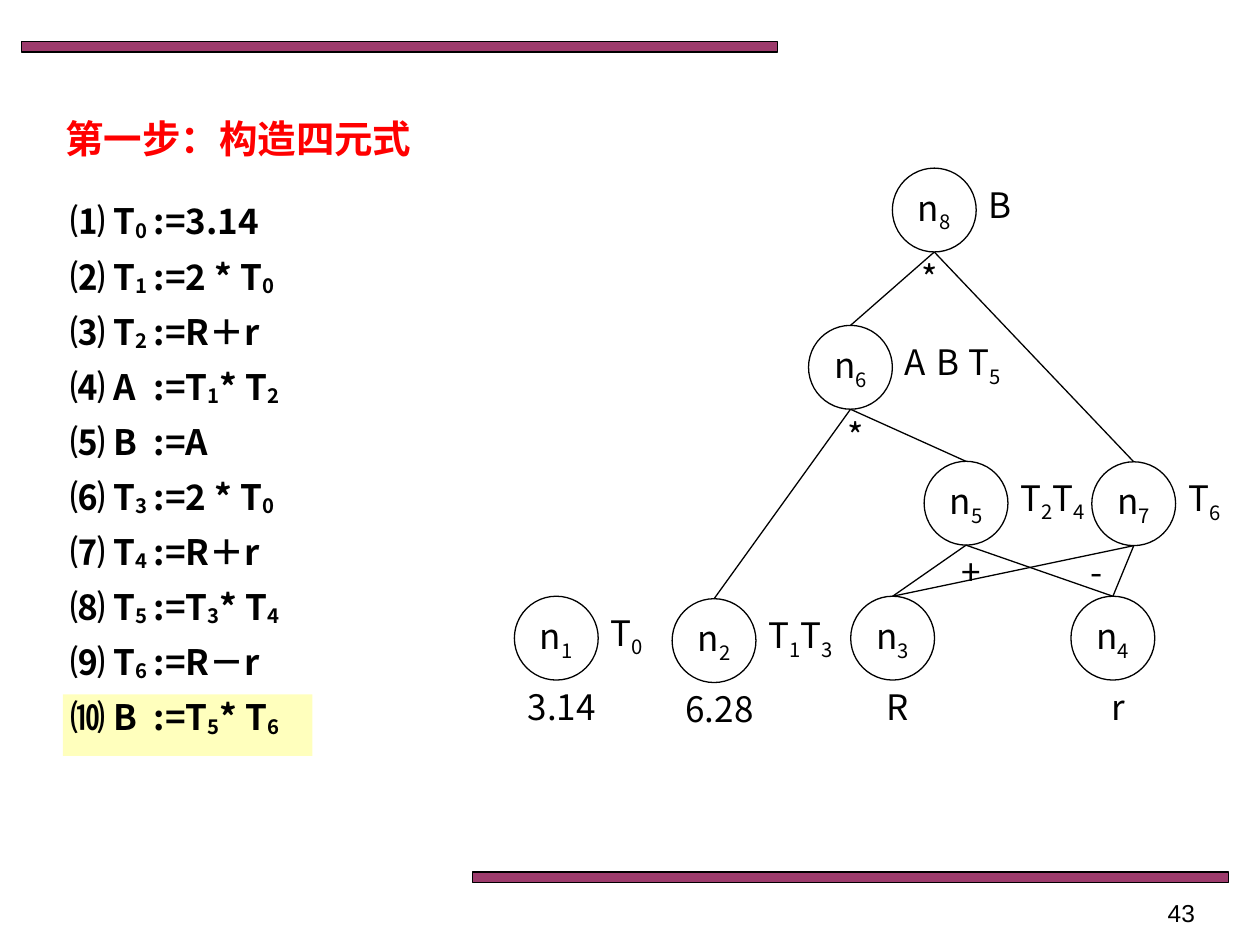
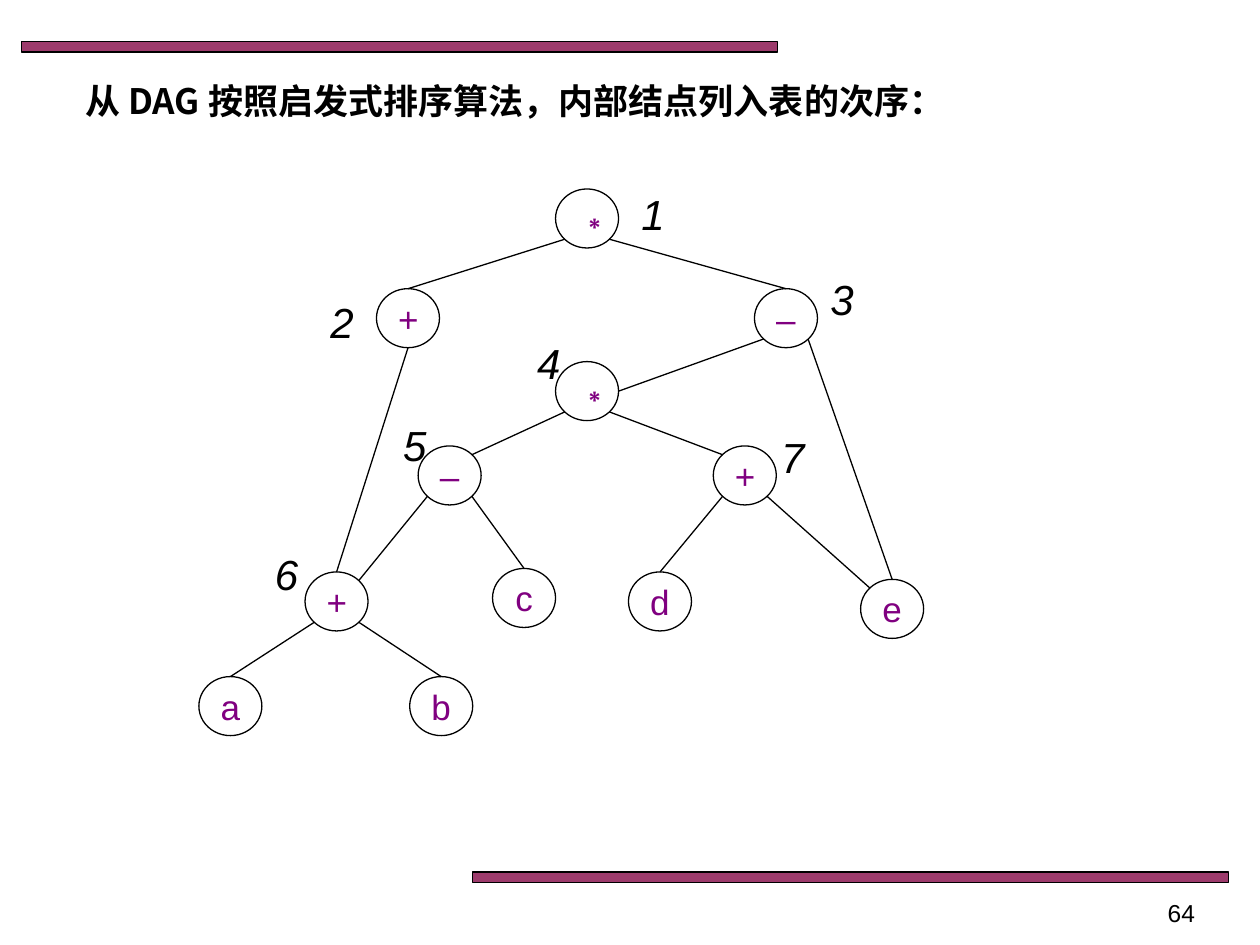
from dataclasses import dataclass
from enum import Enum

from lxml import etree
from pptx import Presentation
from pptx import util as u
from pptx.dml.color import RGBColor
from pptx.enum import shapes, text
from pptx.oxml.ns import qn

BLACK = RGBColor(0x00, 0x00, 0x00)
RED = RGBColor(0xFF, 0x00, 0x00)
PLUM = RGBColor(0x99, 0x33, 0x66)
YELLOW = RGBColor(0xFF, 0xFF, 0x00)
PURPLE = RGBColor(0x80, 0x00, 0x80)
CJK_FONT = "Noto Sans CJK SC"
LATIN_FONT = "Arial"
LINE_WIDTH = u.Pt(0.75)
LEFT, CENTER, RIGHT = text.PP_ALIGN.LEFT, text.PP_ALIGN.CENTER, text.PP_ALIGN.RIGHT


@dataclass(frozen=True)
class Style:
    font: str = CJK_FONT
    size: int = 20
    color: RGBColor = BLACK
    bold: bool = False
    italic: bool = False
    align: text.PP_ALIGN = LEFT
    subscript: int = -25


@dataclass(frozen=True)
class Box:
    left: float
    top: float
    width: float
    height: float

    def lengths(self) -> tuple:
        return u.Cm(self.left), u.Cm(self.top), u.Cm(self.width), u.Cm(self.height)


class Site(Enum):
    TOP = (0, -0.5)
    TOP_LEFT = (-0.35, -0.35)
    TOP_RIGHT = (0.35, -0.35)
    BOTTOM = (0, 0.5)
    BOTTOM_LEFT = (-0.35, 0.35)
    BOTTOM_RIGHT = (0.35, 0.35)
    RIGHT = (0.5, 0)

    def on(self, box: Box) -> tuple:
        across, down = self.value
        return (u.Cm(box.left + box.width * (0.5 + across)),
                u.Cm(box.top + box.height * (0.5 + down)))


@dataclass(frozen=True)
class DagNode:
    left: float
    top: float
    caption: str
    tags: tuple = ()
    caption_shift: float = -0.21

    @property
    def box(self) -> Box:
        return Box(self.left, self.top, NODE_SIZE, NODE_SIZE)


@dataclass(frozen=True)
class OrderNode:
    symbol: str
    left: float
    top: float

    @property
    def box(self) -> Box:
        return Box(self.left, self.top, 1.27, 1.19)


NODE_SIZE = 1.69
TAG_STEP = 0.64
TAB_STOP = 1.68
BANDS = (Box(0.43, 0.84, 15.24, 0.21), Box(9.53, 17.58, 15.24, 0.21))
PAGE_NUMBER_BOX = Box(18.42, 17.98, 5.92, 0.69)

BODY = Style()
BODY_CENTERED = Style(align=CENTER)
QUADRUPLE = Style(bold=True, subscript=-10)
STEP_TITLE = Style(size=22, color=RED, bold=True)
ORDER_TITLE = Style(bold=True)
PAGE_NUMBER = Style(font=LATIN_FONT, size=14, align=RIGHT)
SYMBOL = Style(font=LATIN_FONT, color=PURPLE, align=CENTER)
ORDER_NUMBER = Style(font=LATIN_FONT, size=24, italic=True, align=CENTER)

QUADRUPLES = (
    "⑴ T_0_\t:=3.14",
    "⑵ T_1_\t:=2 * T_0",
    "⑶ T_2_\t:=R＋r",
    "⑷ A\t:=T_1_* T_2",
    "⑸ B\t:=A",
    "⑹ T_3_\t:=2 * T_0",
    "⑺ T_4_\t:=R＋r",
    "⑻ T_5_\t:=T_3_* T_4",
    "⑼ T_6_\t:=R－r",
    "⑽ B\t:=T_5_* T_6",
)

DAG_NODES = {
    1: DagNode(10.37, 12.02, "3.14", ("T_0",)),
    2: DagNode(13.55, 12.07, "6.28", ("T_1", "T_3")),
    3: DagNode(17.15, 12.02, "R"),
    4: DagNode(21.59, 12.02, "r"),
    5: DagNode(18.63, 9.3, "+", ("T_2", "T_4")),
    6: DagNode(16.3, 6.56, "*", ("A", "B", "T_5")),
    7: DagNode(22.01, 9.31, "-", ("T_6",), -1.06),
    8: DagNode(17.99, 3.39, "*", ("B",), -0.42),
}
DAG_EDGES = ((5, 3), (5, 4), (6, 2), (6, 5), (7, 3), (7, 4), (8, 6), (8, 7))

ORDER_NODES = {
    "1": OrderNode("∗", 11.2, 3.81),
    "2": OrderNode("+", 7.59, 5.82),
    "3": OrderNode("–", 15.21, 5.82),
    "4": OrderNode("∗", 11.2, 7.29),
    "5": OrderNode("–", 8.43, 8.99),
    "6": OrderNode("+", 6.15, 11.53),
    "7": OrderNode("+", 14.38, 8.99),
    "a": OrderNode("a", 4.01, 13.64),
    "b": OrderNode("b", 8.26, 13.64),
    "c": OrderNode("c", 9.93, 11.46),
    "d": OrderNode("d", 12.67, 11.53),
    "e": OrderNode("e", 17.35, 11.68),
}
ORDER_POSITIONS = {
    "1": (12.67, 3.81), "2": (6.4, 5.97), "3": (16.48, 5.51), "4": (10.57, 6.81),
    "5": (7.87, 8.46), "6": (5.28, 11.05), "7": (15.49, 8.69),
}
ORDER_EDGES = (
    ("1", Site.BOTTOM_RIGHT, "3", Site.TOP),
    ("1", Site.BOTTOM_LEFT, "2", Site.TOP),
    ("2", Site.BOTTOM, "6", Site.TOP),
    ("3", Site.BOTTOM_LEFT, "4", Site.RIGHT),
    ("4", Site.BOTTOM_RIGHT, "7", Site.TOP_LEFT),
    ("4", Site.BOTTOM_LEFT, "5", Site.TOP_RIGHT),
    ("3", Site.BOTTOM_RIGHT, "e", Site.TOP),
    ("7", Site.BOTTOM_RIGHT, "e", Site.TOP_LEFT),
    ("7", Site.BOTTOM_LEFT, "d", Site.TOP),
    ("5", Site.BOTTOM_RIGHT, "c", Site.TOP),
    ("5", Site.BOTTOM_LEFT, "6", Site.TOP_RIGHT),
    ("6", Site.BOTTOM_RIGHT, "b", Site.TOP),
    ("6", Site.BOTTOM_LEFT, "a", Site.TOP),
)


def add_runs(paragraph, marked: str, style: Style) -> None:
    paragraph.alignment = style.align
    for index, part in enumerate(marked.split("_")):
        run = paragraph.add_run()
        run.text = part
        font = run.font
        font.name, font.size = style.font, u.Pt(style.size)
        font.bold, font.italic = style.bold, style.italic
        font.color.rgb = style.color
        properties = font._element
        if style.font == CJK_FONT:
            etree.SubElement(properties, qn("a:ea")).set("typeface", CJK_FONT)
        if index % 2:
            properties.set("baseline", str(style.subscript * 1000))


def write(shape, marked: str, style: Style, wrap: bool = True,
          anchor=text.MSO_ANCHOR.TOP, padding: float = 0.13) -> None:
    frame = shape.text_frame
    frame.word_wrap = wrap
    frame.auto_size = text.MSO_AUTO_SIZE.NONE
    frame.vertical_anchor = anchor
    frame.margin_left = frame.margin_right = u.Cm(0.25)
    frame.margin_top = frame.margin_bottom = u.Cm(padding)
    add_runs(frame.paragraphs[0], marked, style)


def add_text(slide, box: Box, marked: str, style: Style, padding: float = 0.13):
    shape = slide.shapes.add_textbox(*box.lengths())
    write(shape, marked, style, padding=padding)
    return shape


def add_rectangle(slide, box: Box, color: RGBColor, opacity: int, outlined: bool) -> None:
    shape = slide.shapes.add_shape(shapes.MSO_SHAPE.RECTANGLE, *box.lengths())
    shape.shadow.inherit = False
    shape.fill.solid()
    shape.fill.fore_color.rgb = color
    fill_color = shape.element.spPr.find(".//" + qn("a:srgbClr"))
    etree.SubElement(fill_color, qn("a:alpha")).set("val", str(opacity * 1000))
    if outlined:
        shape.line.color.rgb = BLACK
        shape.line.width = LINE_WIDTH
    else:
        shape.line.fill.background()


def add_circle(slide, box: Box, marked: str, style: Style, wrap: bool, padding: float) -> None:
    shape = slide.shapes.add_shape(shapes.MSO_SHAPE.OVAL, *box.lengths())
    shape.shadow.inherit = False
    shape.fill.background()
    shape.line.color.rgb = BLACK
    shape.line.width = LINE_WIDTH
    write(shape, marked, style, wrap, text.MSO_ANCHOR.MIDDLE, padding)


def add_edge(slide, parent: Box, start: Site, child: Box, end: Site) -> None:
    connector = slide.shapes.add_connector(
        shapes.MSO_CONNECTOR.STRAIGHT, *start.on(parent), *end.on(child))
    connector.line.color.rgb = BLACK
    connector.line.width = LINE_WIDTH
    etree.SubElement(connector.element.spPr, qn("a:effectLst"))


def add_slide(presentation, title: str, title_box: Box, title_style: Style, number: int):
    slide = presentation.slides.add_slide(presentation.slide_layouts[5])
    for band in BANDS:
        add_rectangle(slide, band, PLUM, 96, True)
    placeholder = slide.shapes.title
    placeholder.left, placeholder.top, placeholder.width, placeholder.height = title_box.lengths()
    write(placeholder, title, title_style)
    add_text(slide, PAGE_NUMBER_BOX, str(number), PAGE_NUMBER)
    return slide


def add_quadruples(slide) -> None:
    add_rectangle(slide, Box(1.27, 14, 5.03, 1.24), YELLOW, 26, False)
    shape = add_text(slide, Box(1.17, 3.86, 6.15, 11.46), QUADRUPLES[0], QUADRUPLE)
    frame = shape.text_frame
    for quadruple in QUADRUPLES[1:]:
        add_runs(frame.add_paragraph(), quadruple, QUADRUPLE)
    for paragraph in frame.paragraphs:
        paragraph.line_spacing = 1.05
        paragraph.space_before = u.Pt(6)
        properties = paragraph._p.get_or_add_pPr()
        tabs = etree.SubElement(properties, qn("a:tabLst"))
        etree.SubElement(tabs, qn("a:tab"), pos=str(int(u.Cm(TAB_STOP))), algn="l")


def add_dag(slide) -> None:
    for number, node in DAG_NODES.items():
        add_circle(slide, node.box, f"n_{number}", BODY_CENTERED, False, 0.13)
        caption_box = Box(node.left + node.caption_shift, node.top + NODE_SIZE - 0.03, 2.33, 1.12)
        add_text(slide, caption_box, node.caption, BODY_CENTERED)
        for index, tag in enumerate(node.tags):
            tag_left = node.left + NODE_SIZE + index * TAG_STEP
            add_text(slide, Box(tag_left, node.top + 0.17, 1.47, 1.12), tag, BODY)
    for parent, child in DAG_EDGES:
        add_edge(slide, DAG_NODES[parent].box, Site.BOTTOM, DAG_NODES[child].box, Site.TOP)


def add_ordered_dag(slide) -> None:
    for node in ORDER_NODES.values():
        add_circle(slide, node.box, node.symbol, SYMBOL, True, 0)
    for number, (left, top) in ORDER_POSITIONS.items():
        add_text(slide, Box(left, top, 0.99, 1.02), number, ORDER_NUMBER, 0)
    for parent, start, child, end in ORDER_EDGES:
        add_edge(slide, ORDER_NODES[parent].box, start, ORDER_NODES[child].box, end)


def main() -> None:
    presentation = Presentation()
    presentation.slide_width = u.Cm(25.4)
    presentation.slide_height = u.Cm(19.05)

    slide = add_slide(presentation, "第一步：构造四元式",
                      Box(1.07, 2.18, 13.77, 1.19), STEP_TITLE, 43)
    add_quadruples(slide)
    add_dag(slide)

    slide = add_slide(presentation, "从 DAG 按照启发式排序算法，内部结点列入表的次序：",
                      Box(1.47, 1.47, 22.66, 1.12), ORDER_TITLE, 64)
    add_ordered_dag(slide)

    presentation.save("out.pptx")


if __name__ == "__main__":
    main()
